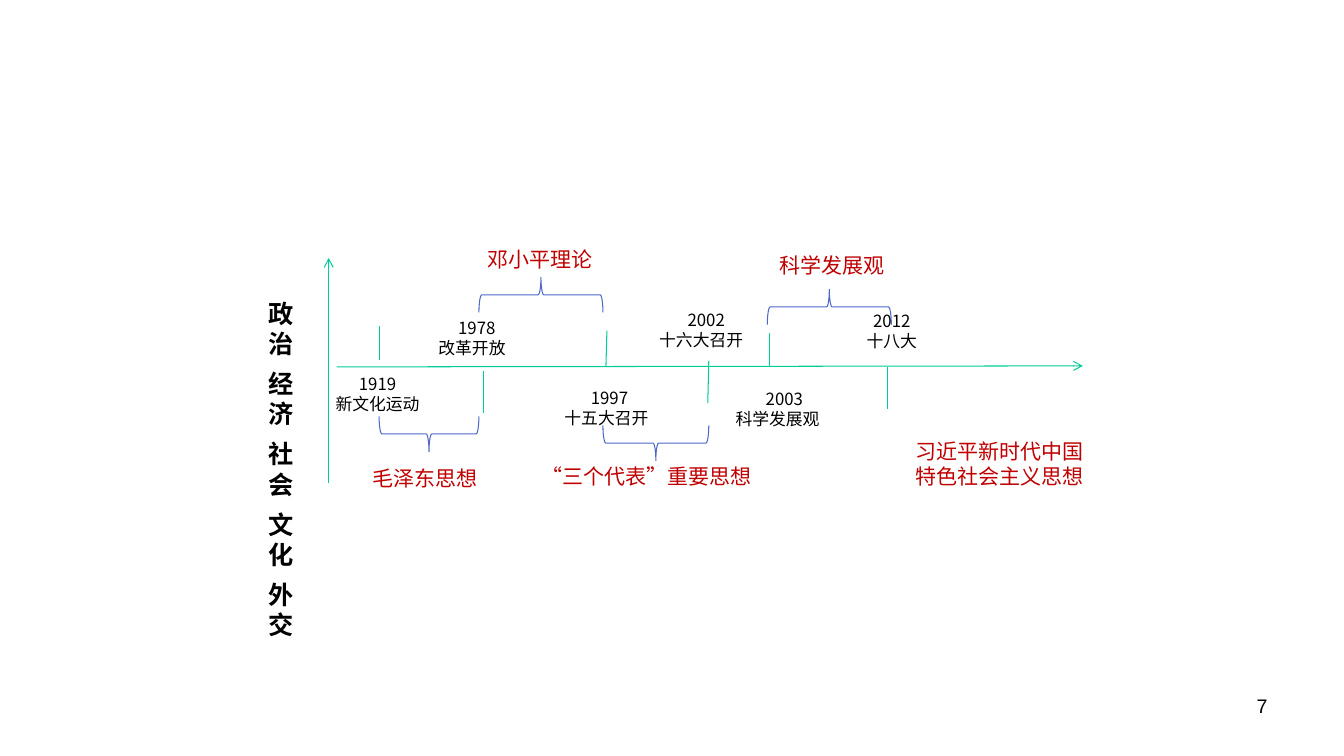
from pptx import Presentation
from pptx.dml.color import RGBColor
from pptx.enum.shapes import MSO_CONNECTOR, MSO_SHAPE
from pptx.enum.text import PP_ALIGN
from pptx.oxml.ns import qn
from pptx.util import Pt
from lxml import etree

PX = 9144
STRAIGHT = MSO_CONNECTOR.STRAIGHT
BRACE = MSO_SHAPE.LEFT_BRACE
LEFT, CENTER, RIGHT = PP_ALIGN.LEFT, PP_ALIGN.CENTER, PP_ALIGN.RIGHT
CJK = "Noto Sans CJK SC"
GREEN, BLUE, RED, BLACK = "00CC98", "4E67C8", "C00000", "000000"


def color(value):
    return RGBColor.from_string(value)


def add_text(box, lines, alignments, size, fill, name=CJK, bold=False, gap=0):
    left, top, width, height = [value * PX for value in box]
    frame = slide.shapes.add_textbox(left, top, width, height).text_frame
    frame.word_wrap = True
    for index, line in enumerate(lines):
        paragraph = frame.paragraphs[0] if index == 0 else frame.add_paragraph()
        paragraph.alignment = alignments[min(index, len(alignments) - 1)]
        paragraph.line_spacing = Pt(size * 1.2)
        if index:
            paragraph.space_before = Pt(gap)
        run = paragraph.add_run()
        run.text = line
        for key, value in {"size": Pt(size), "bold": bold, "name": name}.items():
            setattr(run.font, key, value)
        run.font.color.rgb = color(fill)
        east_asian = etree.SubElement(run.font._element, qn("a:ea"))
        east_asian.set("typeface", name)


presentation = Presentation()
presentation.slide_width = 1333 * PX
presentation.slide_height = 750 * PX
slide = presentation.slides.add_slide(presentation.slide_layouts[6])

axes = [(334, 364, 1074, 363), (326, 479, 326, 256)]
ticks = [
    (376, 357, 376, 323),
    (480, 368, 480, 410),
    (601, 363, 602, 328),
    (703, 358, 702, 400),
    (763, 364, 763, 330),
    (880, 406, 880, 364),
]
for ends in axes + ticks:
    connector = slide.shapes.add_connector(STRAIGHT, *[value * PX for value in ends])
    connector.line.color.rgb = color(GREEN)
    connector.line.width = Pt(0.75)
    if ends in axes:
        arrow = etree.SubElement(connector.line._get_or_add_ln(), qn("a:tailEnd"))
        arrow.set("type", "arrow")
    etree.SubElement(connector._element.spPr, qn("a:effectLst"))

braces = [
    (408, 381, 99, 270),
    (633, 387, 105, 270),
    (519, 231, 123, 90),
    (805, 243, 123, 90),
]
for left, top, span, rotation in braces:
    brace = slide.shapes.add_shape(BRACE, left * PX, top * PX, 35 * PX, span * PX)
    brace.rotation = rotation
    brace.adjustments[0] = 0.08
    brace.shadow.inherit = False
    brace.fill.background()
    brace.line.color.rgb = color(BLUE)
    brace.line.width = Pt(0.75)

add_text((256, 291, 61, 353), ["政治", "经济", "社会", "文化", "外交"],
         [LEFT], 18, BLACK, bold=True, gap=7)

events = [
    (319, 366, 111, "1919", "新文化运动", CENTER),
    (425, 310, 96, "1978", "改革开放", LEFT),
    (550, 380, 109, "1997", "十五大召开", LEFT),
    (644, 302, 113, "2002", "十六大召开", LEFT),
    (716, 381, 124, "2003", " 科学发展观", LEFT),
    (840, 303, 89, "2012", "十八大", CENTER),
]
for left, top, width, year, event, alignment in events:
    add_text((left, top, width, 50), [year, event], [CENTER, alignment], 12, BLACK)

theories = [
    (351, 457, 141, 35, ["毛泽东思想"]),
    (465, 240, 141, 35, ["邓小平理论"]),
    (519, 455, 244, 35, ["“三个代表”重要思想"]),
    (755, 246, 141, 35, ["科学发展观"]),
    (886, 430, 210, 60, ["习近平新时代中国", "特色社会主义思想"]),
]
for *box, lines in theories:
    add_text(box, lines, [CENTER], 15, RED)

add_text((956, 683, 311, 52), ["7"], [RIGHT], 14, BLACK, name="Arial")

presentation.save("out.pptx")
